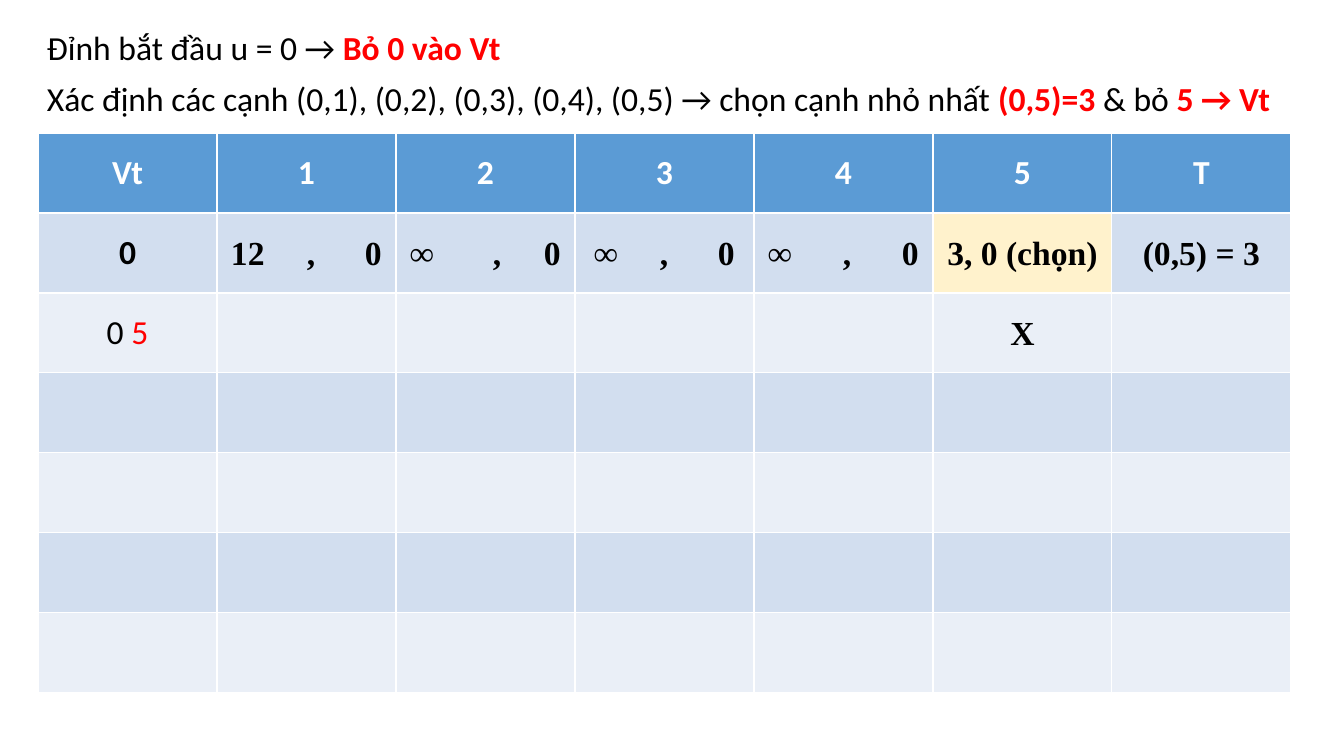
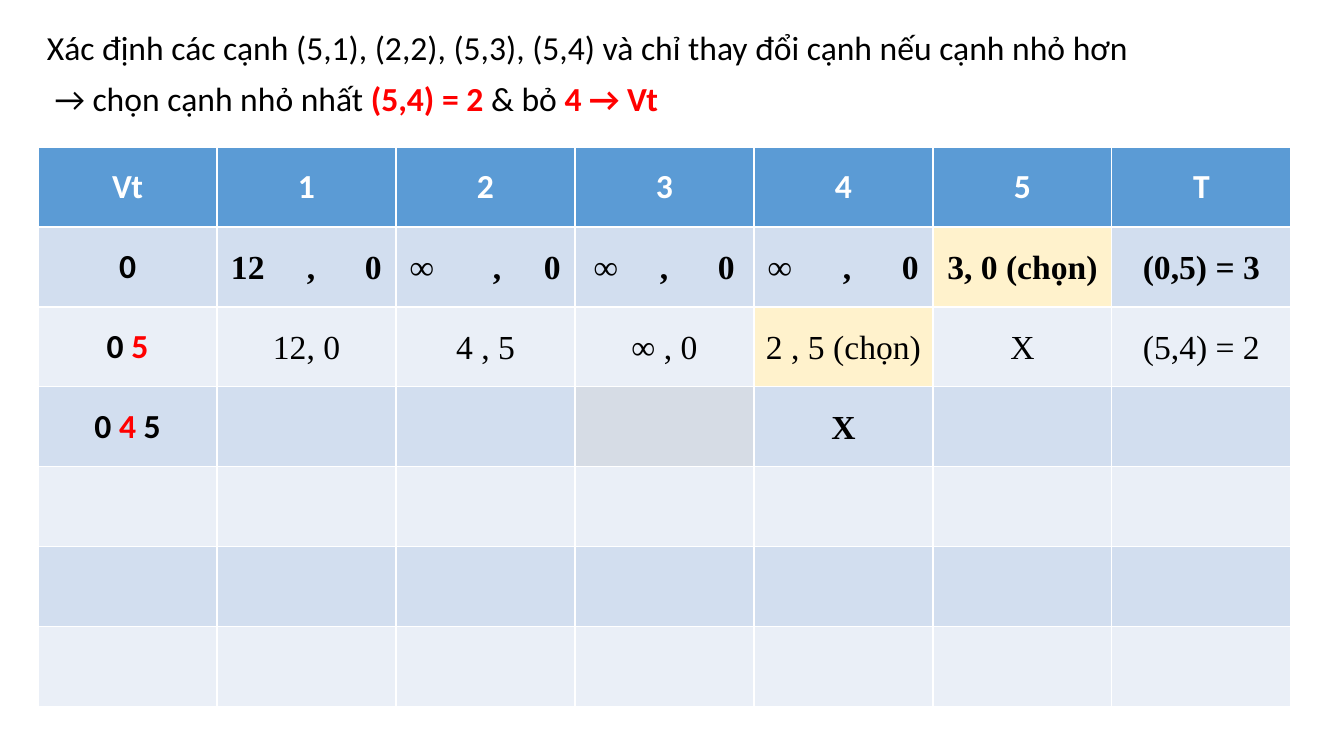
"""Two slides that trace Prim's algorithm in a table."""
from lxml import etree
from pptx import Presentation
from pptx import util as u
from pptx.dml.color import RGBColor
from pptx.enum import text
from pptx.oxml import ns

EMU_PER_PX = 914400 / 100.8
PAGE_WIDTH, PAGE_HEIGHT = 1344, 756
TABLE_LEFT, COLUMN_WIDTH, ROW_HEIGHT = 38, 179, 80
ROW_COUNT = 7
SANS, SERIF = "Calibri", "Times New Roman"
FONT_SIZE = 24

BLACK = RGBColor(0x00, 0x00, 0x00)
WHITE = RGBColor(0xFF, 0xFF, 0xFF)
RED = RGBColor(0xFF, 0x00, 0x00)
HEADER_BLUE = RGBColor(0x5B, 0x9B, 0xD5)
BAND_DARK = RGBColor(0xD2, 0xDE, 0xEF)
BAND_LIGHT = RGBColor(0xEA, 0xEF, 0xF7)
CHOSEN = RGBColor(0xFF, 0xF2, 0xCC)
GREY = RGBColor(0xD6, 0xDC, 0xE5)


def px(length):
    """Turn px into EMU."""
    return u.Emu(round(length * EMU_PER_PX))


def span(words, color=BLACK, bold=False, font=SANS):
    """Describe a stretch of text in one format."""
    return {"words": words, "color": color, "bold": bold, "font": font}


def key(words):
    """Describe a bold red stretch of text."""
    return span(words, color=RED, bold=True)


def label(*spans):
    """Describe a cell in the sans font."""
    return {"spans": spans}


def entry(words, bold=False, fill=None, stops=()):
    """Describe a cell in the serif font."""
    return {"spans": [span(words, bold=bold, font=SERIF)], "fill": fill,
            "stops": stops, "spacing": 1.07, "margins": (7, 0)}


def weight(distance, *stops):
    """Describe a first-row cell whose distance and vertex 0 are spread on tab stops."""
    return entry(f"\t{distance}\t,\t0", bold=True, stops=stops)


HEADER = [label(span(name, color=WHITE, bold=True))
          for name in ("Vt", "1", "2", "3", "4", "5", "T")]
START_ROW = [
    label(span("0", bold=True)),
    weight("12", 7, 83, 141),
    weight("∞", 7, 90, 141),
    weight("∞", 12, 78, 136),
    weight("∞", 7, 82, 141),
    entry("3, 0 (chọn)", bold=True, fill=CHOSEN),
    entry("(0,5) = 3", bold=True),
]


def write(para, spans, spacing, align=None, before=0):
    """Fill a paragraph with formatted spans."""
    para.alignment = align
    para.line_spacing = spacing
    para.space_before = u.Pt(before)
    for item in spans:
        run = para.add_run()
        run.text = item["words"]
        run.font.name = item["font"]
        run.font.size = u.Pt(FONT_SIZE)
        run.font.bold = item["bold"]
        run.font.color.rgb = item["color"]


def add_tab_stops(para, stops):
    """Give a paragraph left tab stops in px."""
    tab_list = etree.SubElement(para._p.get_or_add_pPr(), ns.qn("a:tabLst"))
    for stop in stops:
        etree.SubElement(tab_list, ns.qn("a:tab"), pos=str(px(stop)), algn="l")


def add_steps(page, lines):
    """Add the explanation above the table."""
    box = page.shapes.add_textbox(px(37), px(27), px(1271), px(110))
    frame = box.text_frame
    frame.word_wrap = True
    for index, spans in enumerate(lines):
        para = frame.add_paragraph() if index else frame.paragraphs[0]
        write(para, spans, spacing=0.9, before=10)


def fill_cell(cell, spans=(), fill=None, stops=(), spacing=1.0, margins=(10, 5)):
    """Write the text of one table cell."""
    cell.vertical_anchor = text.MSO_ANCHOR.MIDDLE
    cell.margin_left = cell.margin_right = px(margins[0])
    cell.margin_top = cell.margin_bottom = px(margins[1])
    if fill is not None:
        cell.fill.solid()
        cell.fill.fore_color.rgb = fill
    para = cell.text_frame.paragraphs[0]
    align = text.PP_ALIGN.LEFT if stops else text.PP_ALIGN.CENTER
    write(para, spans, spacing, align=align)
    if stops:
        add_tab_stops(para, stops)


def add_trace(page, top, steps):
    """Add the table: header, start row, given steps and empty rows."""
    rows = [HEADER, START_ROW, *steps]
    columns = len(HEADER)
    table = page.shapes.add_table(
        ROW_COUNT, columns, px(TABLE_LEFT), px(top),
        px(COLUMN_WIDTH * columns), px(ROW_HEIGHT * ROW_COUNT)).table
    for column in table.columns:
        column.width = px(COLUMN_WIDTH)
    for index, row in enumerate(table.rows):
        row.height = px(ROW_HEIGHT)
        band = BAND_DARK if index % 2 else BAND_LIGHT
        contents = rows[index] if index < len(rows) else [{}] * columns
        for cell, content in zip(row.cells, contents):
            cell.fill.solid()
            cell.fill.fore_color.rgb = band if index else HEADER_BLUE
            fill_cell(cell, **content)


def add_page(deck, lines, top, steps):
    """Add a slide with an explanation and its table."""
    page = deck.slides.add_slide(deck.slide_layouts[6])
    add_steps(page, lines)
    add_trace(page, top, steps)


def main():
    """Build and save the deck."""
    deck = Presentation()
    deck.slide_width, deck.slide_height = px(PAGE_WIDTH), px(PAGE_HEIGHT)
    add_page(
        deck,
        lines=[
            [span("Đỉnh bắt đầu u = 0 → "), key("Bỏ 0 vào Vt")],
            [span("Xác định các cạnh (0,1), (0,2), (0,3), (0,4), (0,5) → chọn cạnh nhỏ nhất "),
             key("(0,5)=3 "), span("& bỏ "), key("5 → Vt")],
        ],
        top=133,
        steps=[
            [label(span("0 "), span("5", color=RED)), {}, {}, {}, {},
             entry("X", bold=True), {}],
        ],
    )
    add_page(
        deck,
        lines=[
            [span("Xác định các cạnh (5,1), (2,2), (5,3), (5,4) "
                  "và chỉ thay đổi cạnh nếu cạnh nhỏ hơn")],
            [span(" → chọn cạnh nhỏ nhất "), key("(5,4) = 2 "),
             span("& bỏ "), key("4 → Vt")],
        ],
        top=147,
        steps=[
            [label(span("0 ", bold=True), key("5")), entry("12, 0"), entry("4 , 5"),
             entry("∞ , 0"), entry("2 , 5 (chọn)", fill=CHOSEN), entry("X"),
             entry("(5,4) = 2")],
            [label(span("0 ", bold=True), key("4"), span(" 5", bold=True)), {}, {},
             {"fill": GREY}, entry("X", bold=True), {}, {}],
        ],
    )
    deck.save("out.pptx")


if __name__ == "__main__":
    main()
